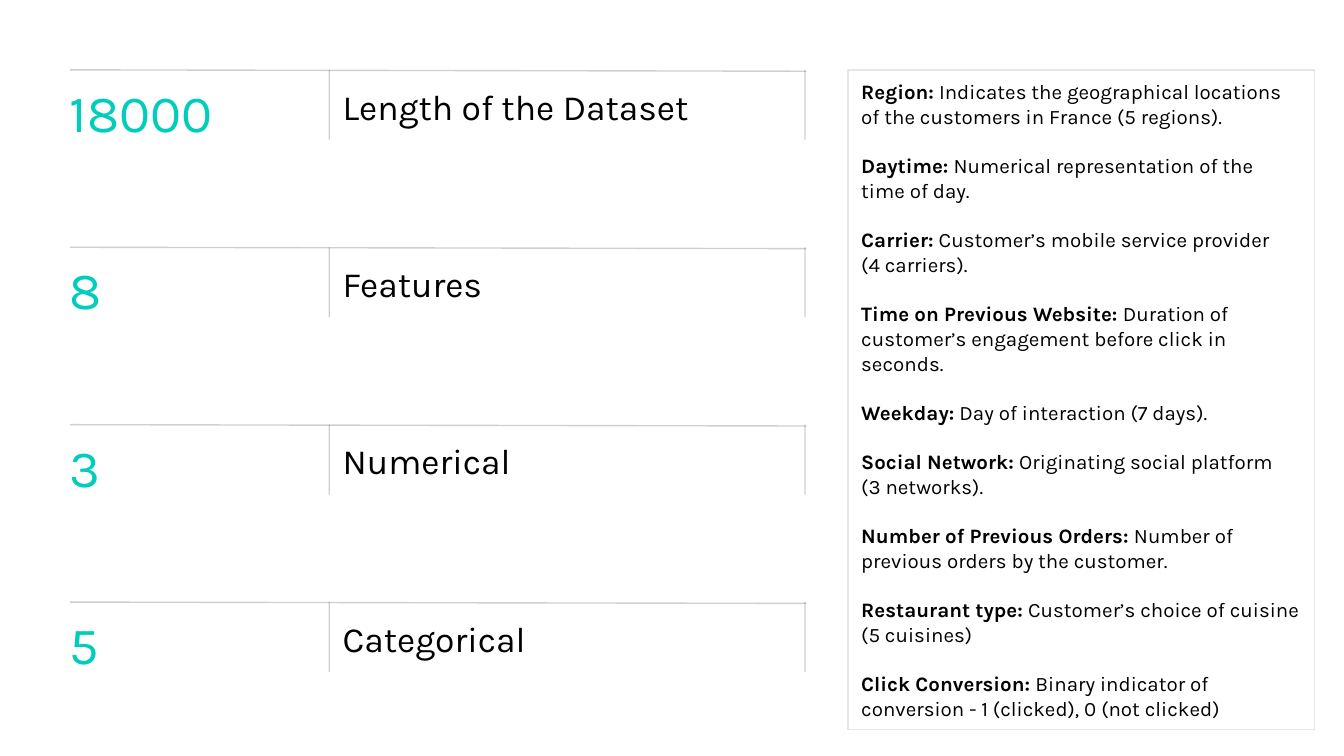
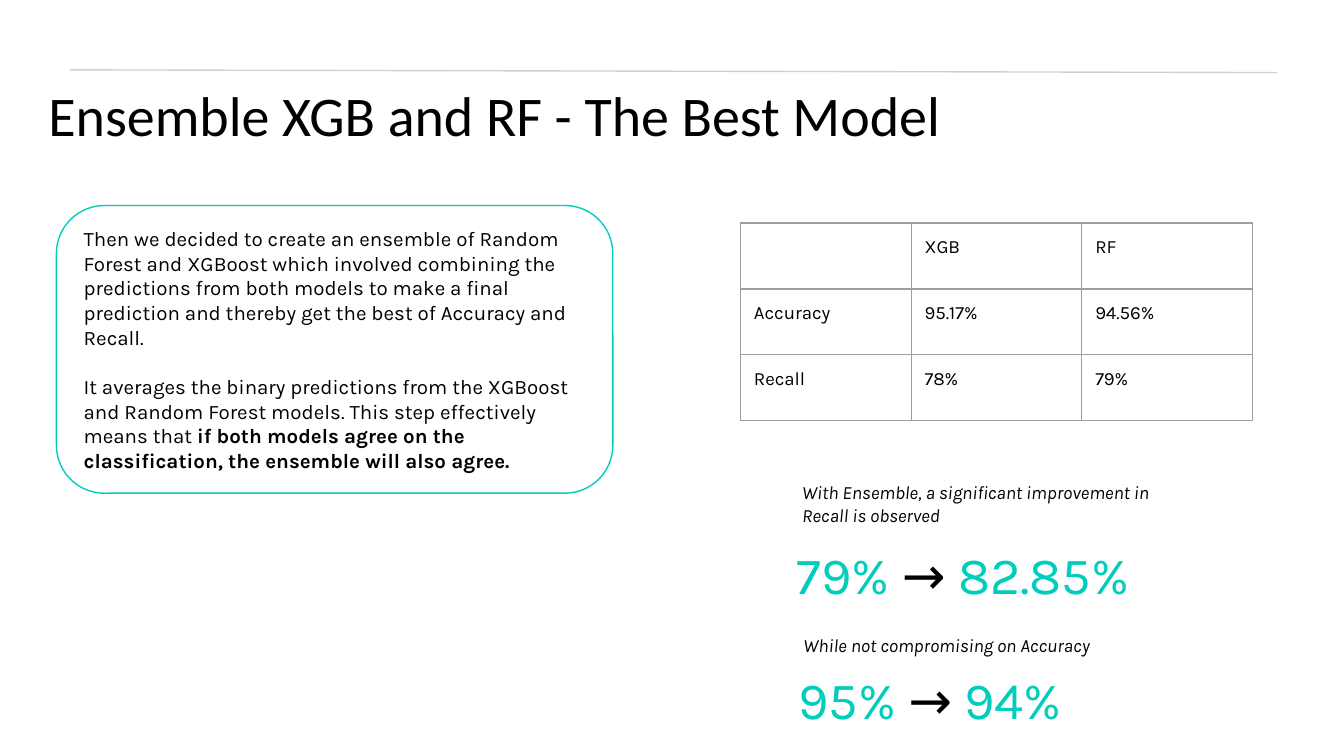
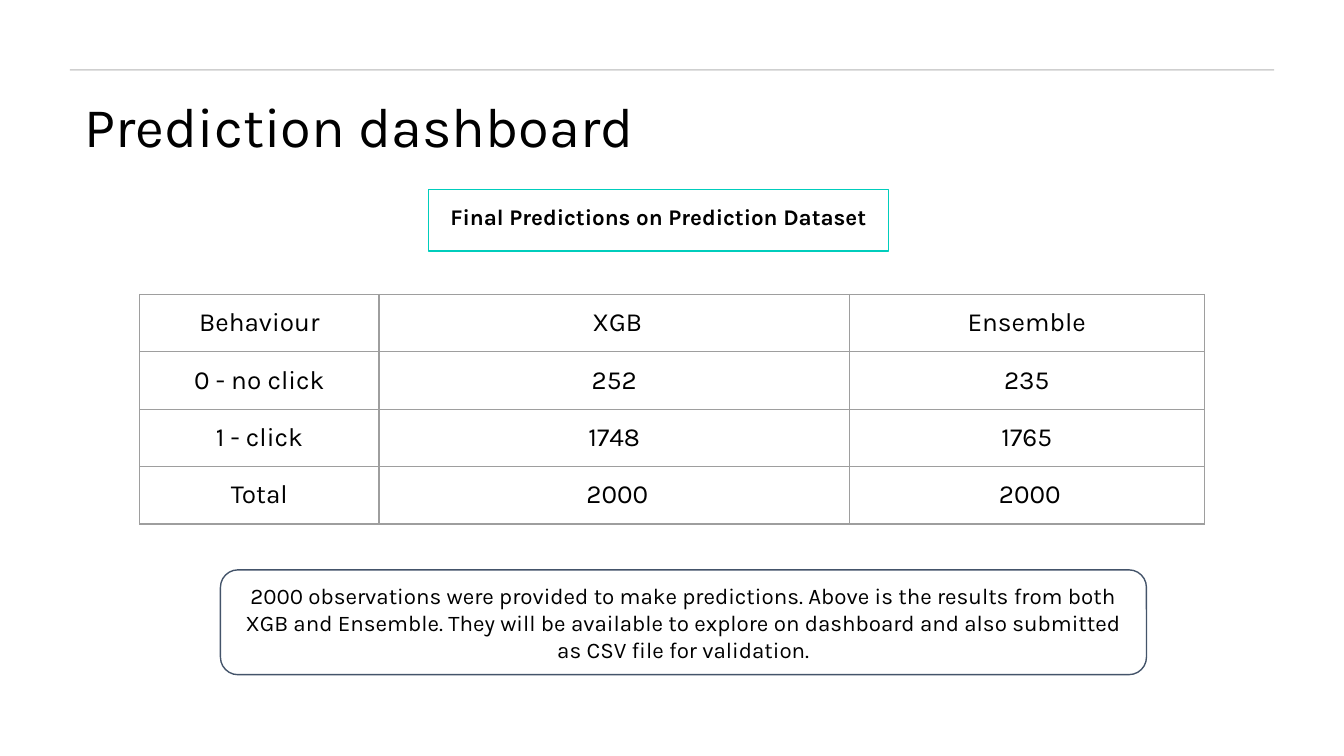
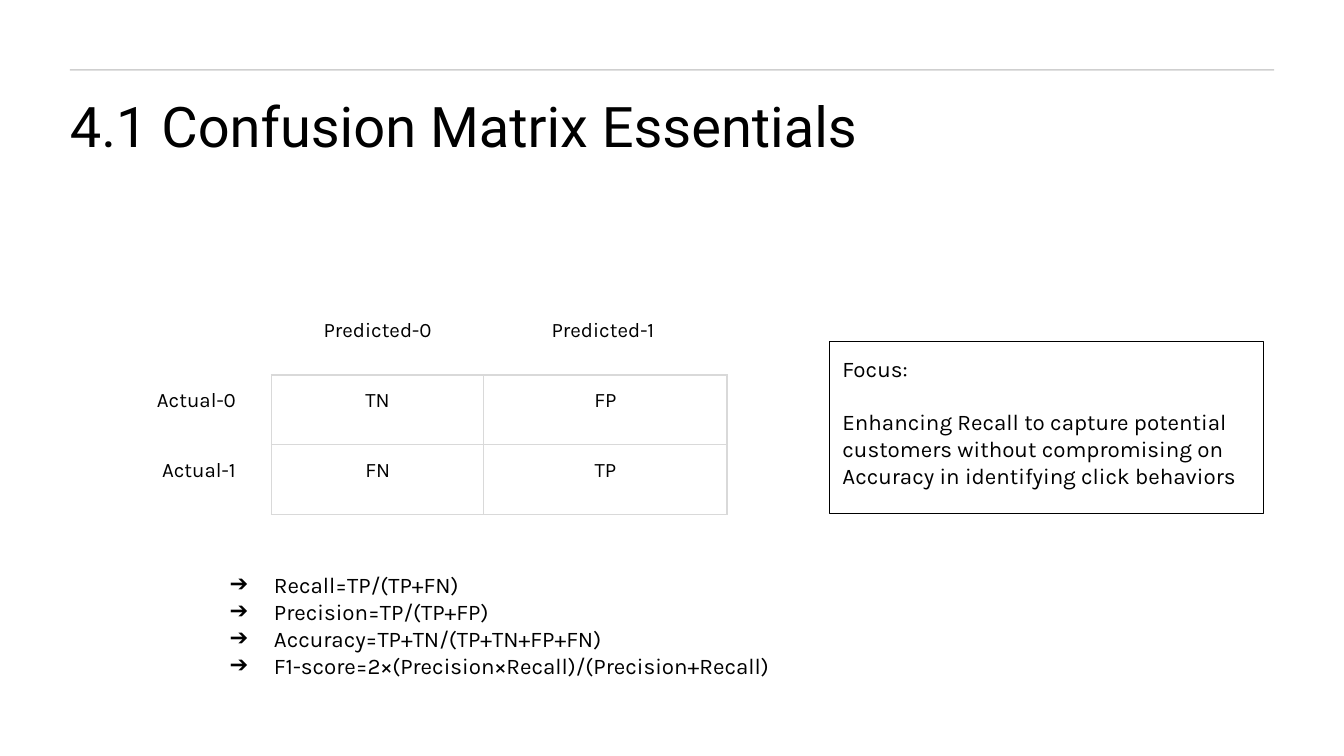
from lxml.etree import SubElement as Sub
from pptx import Presentation
from pptx.dml.color import RGBColor as RGB
from pptx.enum.shapes import MSO_CONNECTOR as Link, MSO_SHAPE as Kind
from pptx.enum.text import MSO_ANCHOR as Anchor, MSO_AUTO_SIZE as Auto, PP_ALIGN as Align
from pptx.oxml.ns import qn
from pptx.util import Inches, Pt

BLACK = RGB(0x00, 0x00, 0x00)
WHITE = RGB(0xFF, 0xFF, 0xFF)
TEAL = RGB(0x00, 0xCD, 0xBC)
NAVY = RGB(0x44, 0x54, 0x6A)
INK = RGB(0x11, 0x11, 0x11)
GREY = RGB(0x9E, 0x9E, 0x9E)
PALE = RGB(0xD9, 0xD9, 0xD9)
MIST = RGB(0xE7, 0xE6, 0xE6)

FONT = "Karla"
THIN = Pt(0.75)
PAD = 0.1
WIDE = 10
LEFT, TOP, RIGHT = 0.52, 0.52, 9.48
SIDES = ("left", "right", "top", "bottom")

STATS = [("18000", "Length of the Dataset"), ("8", "Features"),
         ("3", "Numerical"), ("5", "Categorical")]
FIELDS = [
    ("Region:", " Indicates the geographical locations of the customers in France (5 regions)."),
    ("Daytime:", " Numerical representation of the time of day."),
    ("Carrier:", " Customer’s mobile service provider", "(4 carriers)."),
    ("Time on Previous Website:",
     " Duration of customer’s engagement before click in seconds."),
    ("Weekday:", " Day of interaction (7 days)."),
    ("Social Network:", " Originating social platform", "(3 networks)."),
    ("Number of Previous Orders:", " Number of previous orders by the customer."),
    ("Restaurant type:", " Customer’s choice of cuisine (5 cuisines)"),
    ("Click Conversion:", " Binary indicator of conversion - 1 (clicked), 0 (not clicked)"),
]
SCORES = [("", "XGB", "RF"), ("Accuracy", "95.17%", "94.56%"), ("Recall", "78%", "79%")]
COUNTS = [("Behaviour", " XGB", "Ensemble"), ("0 - no click", "252", "235"),
          ("1 - click", "1748", "1765"), ("Total", " 2000", " 2000")]
MATRIX = [("", "Predicted-0", "Predicted-1 "), ("Actual-0 ", "TN", "FP"),
          ("Actual-1", "FN", "TP")]
RULES = ["Recall=TP/(TP+FN)", "Precision=TP/(TP+FP)", "Accuracy=TP+TN/(TP+TN+FP+FN)",
         "F1-score=2×(Precision×Recall)/(Precision+Recall)"]


def box(*sizes):
    return [Inches(size) for size in sizes]


def style(item, values):
    for name, value in values.items():
        setattr(item, name, value)


def write(frame, *blocks, size, color=BLACK, face=FONT, pad=0, anchor=Anchor.TOP, **para):
    """Fill a frame with blocks of paragraphs, set one line apart.

    A paragraph is a string or a list of (text, font values) runs.
    """
    style(frame, {"word_wrap": True, "auto_size": Auto.NONE, "vertical_anchor": anchor})
    style(frame, {f"margin_{side}": Inches(pad) for side in SIDES})
    line = frame.paragraphs[0]
    for i, block in enumerate(blocks):
        for j, runs in enumerate(block):
            if i or j:
                line = frame.add_paragraph()
            style(line, para)
            if i and not j:
                line.space_before = Pt(size * 1.2)
            for text, look in [(runs, {})] if isinstance(runs, str) else runs:
                run = line.add_run()
                run.text = text
                look = dict(look)
                run.font.color.rgb = look.pop("color", color)
                style(run.font, {"name": face, "size": Pt(size), **look})


def label(slide, place, *blocks, **look):
    frame = slide.shapes.add_textbox(*box(*place)).text_frame
    write(frame, *blocks, **look)
    return frame


def panel(slide, kind, place, edge, *blocks, **look):
    """Add an outlined shape with text inside."""
    shape = slide.shapes.add_shape(kind, *box(*place))
    shape.shadow.inherit = False
    shape.fill.background()
    shape.line.color.rgb = edge
    shape.line.width = THIN
    write(shape.text_frame, *blocks, pad=PAD, **{"alignment": Align.LEFT, **look})


def rule(slide, *ends):
    """Draw a faint hairline."""
    line = slide.shapes.add_connector(Link.STRAIGHT, *box(*ends))
    line.line.color.rgb = INK
    line.line.width = THIN
    tint = line.line.fill._xPr.find(".//" + qn("a:srgbClr"))
    Sub(tint, qn("a:alpha"), val="20000")
    Sub(line._element.spPr, qn("a:effectLst"))


def titled(deck, text, place, face=FONT, end=(RIGHT, TOP)):
    """Add a slide with its title and the hairline above it."""
    slide = deck.slides.add_slide(deck.slide_layouts[5])
    title = slide.shapes.title
    style(title, dict(zip(("left", "top", "width", "height"), box(*place))))
    write(title.text_frame, [text], size=30, face=face, line_spacing=1.1,
          alignment=Align.LEFT)
    rule(slide, LEFT, TOP, *end)
    return slide


def border(cell, edges):
    """Draw the left, right, top and bottom edges in the given colours."""
    props = cell._tc.get_or_add_tcPr()
    for side, color in zip("LRTB", edges):
        line = Sub(props, qn(f"a:ln{side}"), w=str(THIN))
        Sub(Sub(line, qn("a:solidFill")), qn("a:srgbClr"), val=str(color))


def grid(slide, place, widths, height, rows, edges, size, align):
    """Add a table; edges(row, column) gives the border colours of a cell."""
    table = slide.shapes.add_table(len(rows), len(widths), *box(*place)).table
    style(table, {"first_row": False, "horz_banding": False})
    for column, width in zip(table.columns, widths):
        column.width = Inches(width)
    for r, texts in enumerate(rows):
        table.rows[r].height = Inches(height)
        for c, text in enumerate(texts):
            cell = table.cell(r, c)
            border(cell, edges(r, c))
            cell.fill.background()
            style(cell, {f"margin_{side}": Inches(PAD) for side in SIDES})
            line = cell.text_frame.paragraphs[0]
            line.alignment = align
            if text:
                run = line.add_run()
                run.text = text
                run.font.color.rgb = BLACK
                style(run.font, {"name": FONT, "size": Pt(size)})
            else:
                Sub(line._p, qn("a:endParaRPr"), sz=str(size * 100))


def plain(row, col):
    return [GREY] * 4


def inner(row, col):
    """Show borders only around the cells inside the headings."""
    if row and col:
        return [PALE] * 4
    return [WHITE, PALE if row else WHITE, WHITE, PALE if col else WHITE]


def bullet(frame, mark):
    for line in frame.paragraphs:
        props = line._p.get_or_add_pPr()
        props.set("marL", str(Inches(0.5)))
        props.set("indent", str(Inches(-0.33)))
        Sub(Sub(props, qn("a:buClr")), qn("a:srgbClr"), val=str(BLACK))
        Sub(props, qn("a:buFont"), typeface=FONT)
        Sub(props, qn("a:buChar"), char=mark)


def change(slide, left, top, old, new):
    """Show a score before and after."""
    runs = [(old + " ", {}), ("→", {"color": BLACK}), (" " + new, {})]
    label(slide, (left, top, 3.04, 0.46), [runs], size=28, color=TEAL, line_spacing=1.1)


def data(deck):
    slide = deck.slides.add_slide(deck.slide_layouts[6])
    for i, (count, name) in enumerate(STATS):
        top = TOP + 1.32 * i
        rule(slide, LEFT, top, 6, top + 0.01)
        for x in (2.45, 5.99):
            rule(slide, x, top, x, top + 0.52)
        label(slide, (LEFT, top + 0.03, 1.8, 0.46), [count], size=28, color=TEAL,
              line_spacing=1.1)
        label(slide, (2.55, top + 0.11, 3, 0.34), [name], size=19)
    notes = [[[(head, {"bold": True}), (body, {})], *more] for head, body, *more in FIELDS]
    panel(slide, Kind.RECTANGLE, (6.31, TOP, 3.47, 4.91), MIST, *notes, size=11,
          anchor=Anchor.MIDDLE)


def model(deck):
    slide = titled(deck, "Ensemble XGB and RF - The Best Model", (0.36, 0.55, 7.65, 0.46),
                   "Calibri", (9.5, 0.54))
    panel(slide, Kind.ROUNDED_RECTANGLE, (0.42, 1.53, 4.14, 2.14), TEAL,
          ["Then we decided to create an ensemble of Random Forest and XGBoost which "
           "involved combining the predictions from both models to make a final "
           "prediction and thereby get the best of Accuracy and Recall."],
          [[("It averages the binary predictions from the XGBoost and Random Forest "
             "models. This step effectively means that ", {}),
            ("if both models agree on the classification, the ensemble will also agree.",
             {"bold": True})]],
          size=11, anchor=Anchor.MIDDLE)
    grid(slide, (5.51, 1.66, 3.81, 1.48), [1.27] * 3, 0.49, SCORES, plain, 10, Align.LEFT)
    for place, text in (
            ((5.87, 3.48, 2.96, 0.37),
             "With Ensemble, a significant improvement in Recall is observed"),
            ((5.88, 4.62, 3.28, 0.37), "While not compromising on Accuracy")):
        label(slide, place, [[(text, {"italic": True})]], size=10, pad=PAD)
    change(slide, 5.93, 3.99, "79%", "82.85%")
    change(slide, 5.94, 4.92, "95%", "94%")


def board(deck):
    slide = titled(deck, "Prediction dashboard", (0.63, 0.63, 5.4, 0.46))
    panel(slide, Kind.RECTANGLE, (3.19, 1.41, 3.42, 0.46), TEAL,
          [[("Final Predictions on Prediction Dataset", {"bold": True})]],
          size=12, alignment=Align.CENTER)
    grid(slide, (1.04, 2.19, 7.92, 1.73), [1.78, 3.5, 2.64], 0.42, COUNTS, plain, 14,
         Align.CENTER)
    panel(slide, Kind.ROUNDED_RECTANGLE, (1.64, 4.24, 6.89, 0.78), NAVY,
          ["2000 observations were provided to make predictions. Above is the results "
           "from both XGB and Ensemble. They will be available to explore on dashboard "
           "and also submitted as CSV file for validation."],
          size=12, anchor=Anchor.MIDDLE, alignment=Align.CENTER)


def matrix(deck):
    slide = titled(deck, "4.1 Confusion Matrix Essentials", (LEFT, 0.63, 6, 0.92), "Roboto")
    grid(slide, (0.94, 2.27, 4.47, 1.55), [1.08, 1.58, 1.81], 0.52, MATRIX, inner, 11,
         Align.CENTER)
    bullet(label(slide, (1.44, 4.15, 4.47, 1.04), RULES, size=12, pad=PAD), "➔")
    panel(slide, Kind.RECTANGLE, (6.17, 2.54, 3.23, 1.28), BLACK, ["Focus:"],
          ["Enhancing Recall to capture potential customers without compromising on "
           "Accuracy in identifying click behaviors"], size=12)


def main():
    deck = Presentation()
    style(deck, {"slide_width": Inches(WIDE), "slide_height": Inches(WIDE * 9 / 16)})
    for build in (data, model, board, matrix):
        build(deck)
    deck.save("out.pptx")


if __name__ == "__main__":
    main()
